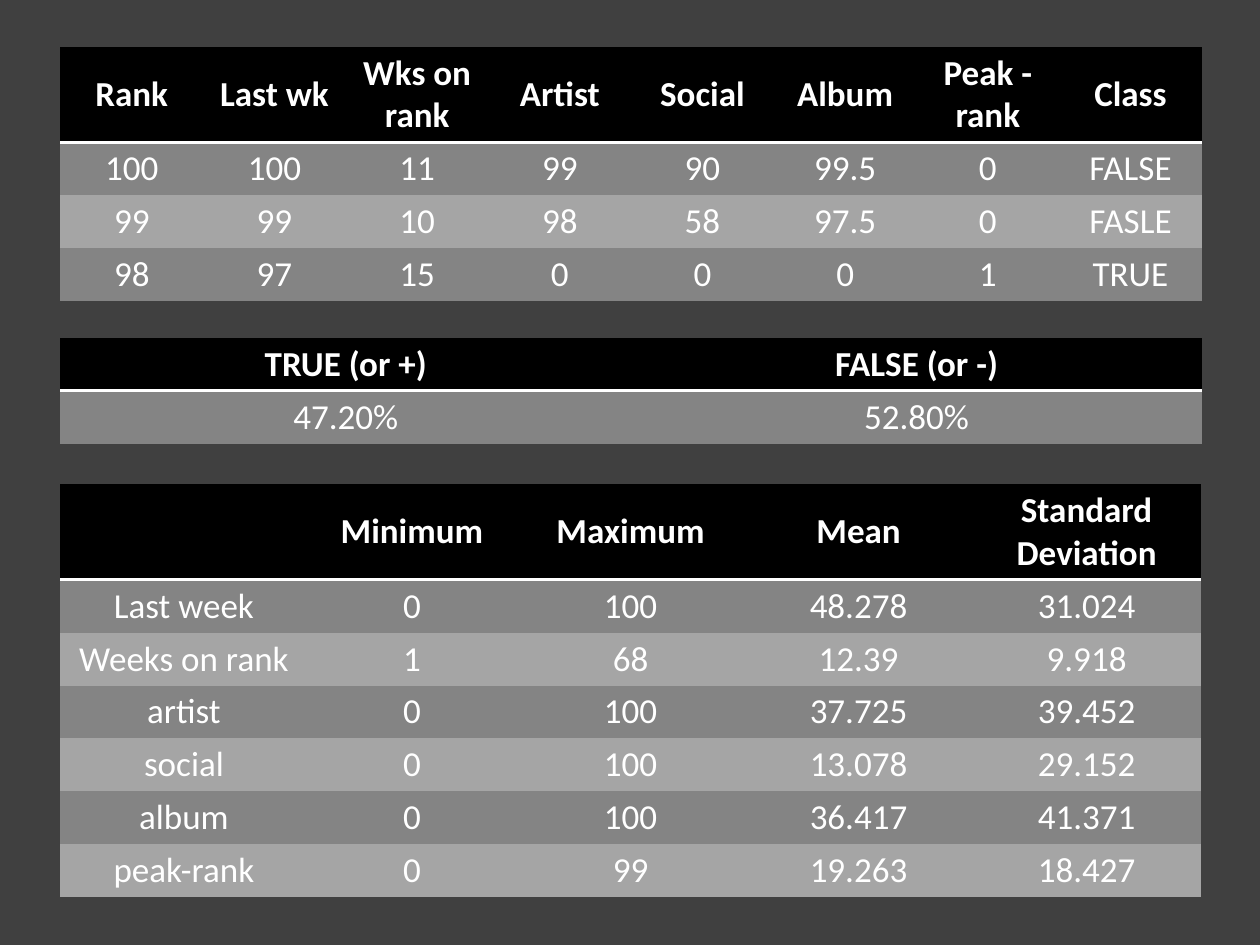
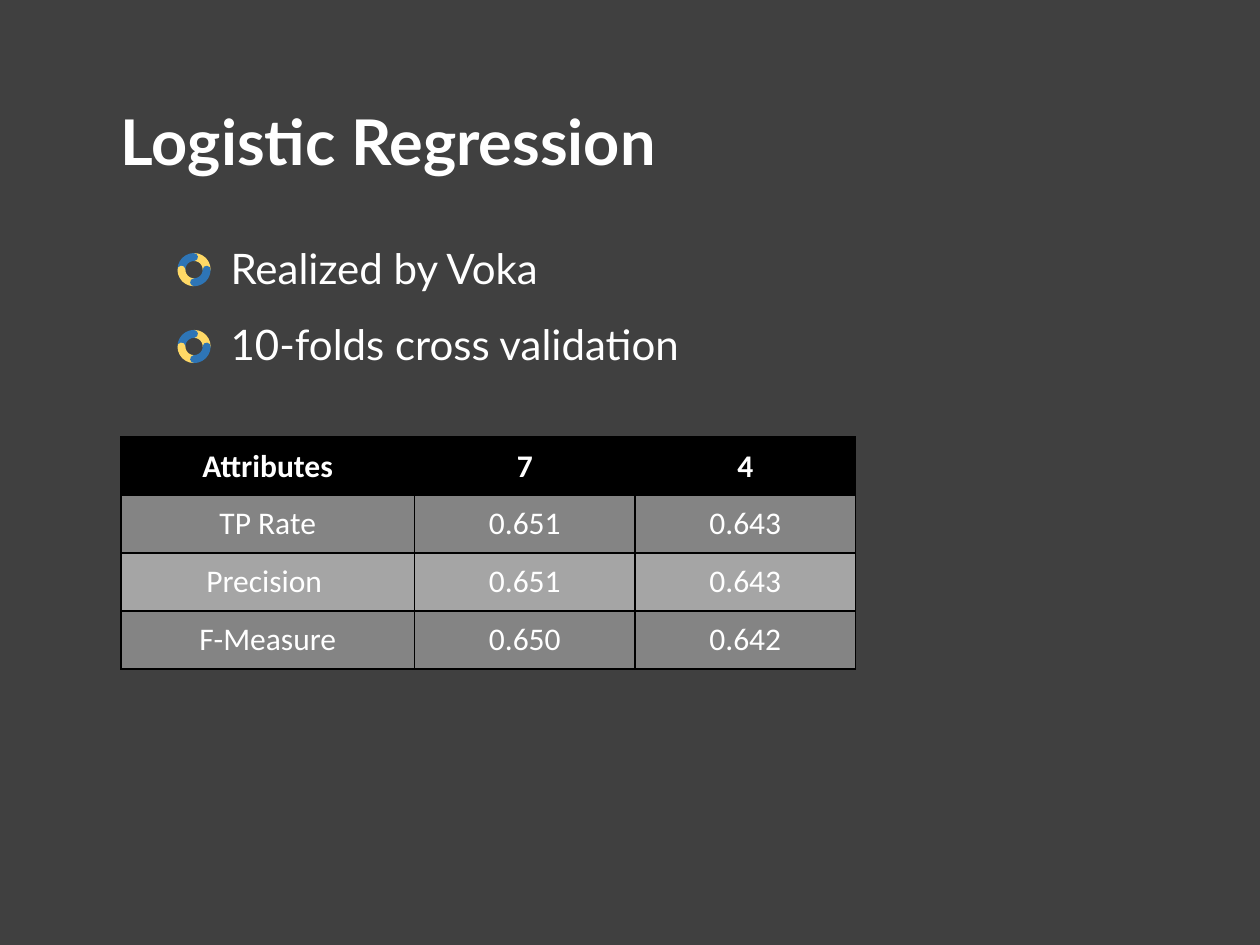
from dataclasses import dataclass

from lxml.etree import SubElement
from pptx import Presentation
from pptx.dml.color import RGBColor
from pptx.enum.shapes import MSO_SHAPE
from pptx.enum.text import MSO_ANCHOR, MSO_AUTO_SIZE, PP_ALIGN
from pptx.oxml.ns import qn
from pptx.presentation import Presentation as Deck
from pptx.shapes.base import BaseShape
from pptx.slide import Slide
from pptx.table import _Cell
from pptx.text.text import TextFrame, _Paragraph
from pptx.util import Inches, Pt


@dataclass(frozen=True)
class Theme:
    background: str = "404040"
    text: str = "FFFFFF"
    header: str = "000000"
    bands: tuple[str, str] = ("848484", "A5A5A5")
    ring_yellow: str = "FFD966"
    ring_blue: str = "2E75B6"
    heading_font: str = "Lato"
    table_font: str = "Calibri"
    title_size: float = 36
    list_size: float = 24
    large_table_size: float = 20
    small_table_size: float = 18
    ring_line: float = 4.5


THEME = Theme()
NO_TABLE_STYLE = "{2D5ABB26-0587-4C30-8999-92F81FD0307C}"
ALL_SIDES = ("L", "R", "T", "B")


@dataclass(frozen=True)
class TableSpec:
    left: float
    top: float
    columns: tuple[float, ...]
    header_height: float
    row_height: float
    rows: tuple[tuple[str, ...], ...]
    size: float = THEME.large_table_size
    insets: tuple[float, float] = (0.07, 0.04)
    grid: bool = False


FULL_WIDTH = 9.06
TABLE_LEFT = 0.48

CHART_ENTRIES = TableSpec(
    TABLE_LEFT, 0.37, (FULL_WIDTH / 8,) * 8, 0.74, 0.41,
    (
        ("Rank", "Last wk", "Wks on rank", "Artist", "Social", "Album", "Peak - rank", "Class"),
        ("100", "100", "11", "99", "90", "99.5", "0", "FALSE"),
        ("99", "99", "10", "98", "58", "97.5", "0", "FASLE"),
        ("98", "97", "15", "0", "0", "0", "1", "TRUE"),
    ),
)
CLASS_SHARES = TableSpec(
    TABLE_LEFT, 2.68, (FULL_WIDTH / 2,) * 2, 0.41, 0.41,
    (("TRUE (or +)", "FALSE (or -)"), ("47.20%", "52.80%")),
)
STATISTICS = TableSpec(
    TABLE_LEFT, 3.84, (1.96, 1.66, 1.81, 1.81, 1.81), 0.74, 0.41,
    (
        ("", "Minimum", "Maximum", "Mean", "Standard Deviation"),
        ("Last week", "0", "100", "48.278", "31.024"),
        ("Weeks on rank", "1", "68", "12.39", "9.918"),
        ("artist", "0", "100", "37.725", "39.452"),
        ("social", "0", "100", "13.078", "29.152"),
        ("album", "0", "100", "36.417", "41.371"),
        ("peak-rank", "0", "99", "19.263", "18.427"),
    ),
)
REGRESSION_SCORES = TableSpec(
    0.96, 3.47, (2.33, 1.75, 1.75), 0.46, 0.46,
    (
        ("Attributes", "7", "4"),
        ("TP Rate", "0.651", "0.643"),
        ("Precision ", "0.651", "0.643"),
        ("F-Measure", "0.650", "0.642"),
    ),
    size=THEME.small_table_size,
    insets=(0, 0),
    grid=True,
)


def color(value: str) -> RGBColor:
    return RGBColor.from_string(value)


def write_text(para: _Paragraph, text: str, *, size: float, font: str,
               bold: bool = False, align: PP_ALIGN = PP_ALIGN.LEFT) -> None:
    para.alignment = align
    span = para.add_run()
    span.text = text
    span.font.size = Pt(size)
    span.font.name = font
    span.font.bold = bold
    span.font.color.rgb = color(THEME.text)


def add_border(cell: _Cell, side: str, line_color: str, width: float) -> None:
    line = SubElement(cell._tc.get_or_add_tcPr(), qn(f"a:ln{side}"), w=str(Pt(width)))
    fill = SubElement(line, qn("a:solidFill"))
    SubElement(fill, qn("a:srgbClr"), val=line_color)


def format_cell(cell: _Cell, text: str, row: int, spec: TableSpec) -> None:
    is_header = row == 0
    if spec.grid:
        for side in ALL_SIDES:
            add_border(cell, side, THEME.header, 1)
    elif is_header:
        add_border(cell, "B", THEME.text, 2)
    cell.fill.solid()
    cell.fill.fore_color.rgb = color(THEME.header if is_header else THEME.bands[(row - 1) % 2])
    cell.vertical_anchor = MSO_ANCHOR.MIDDLE
    cell.margin_left = cell.margin_right = Inches(spec.insets[0])
    cell.margin_top = cell.margin_bottom = Inches(spec.insets[1])
    if text:
        write_text(cell.text_frame.paragraphs[0], text, size=spec.size,
                   font=THEME.table_font, bold=is_header, align=PP_ALIGN.CENTER)


def draw_table(page: Slide, spec: TableSpec) -> None:
    heights = [spec.header_height] + [spec.row_height] * (len(spec.rows) - 1)
    frame = page.shapes.add_table(
        len(spec.rows), len(spec.columns), Inches(spec.left), Inches(spec.top),
        Inches(sum(spec.columns)), Inches(sum(heights)))
    table = frame.table
    table.horz_banding = False
    table._tbl.tblPr.find(qn("a:tableStyleId")).text = NO_TABLE_STYLE
    for column, width in zip(table.columns, spec.columns):
        column.width = Inches(width)
    for index, (row, height, texts) in enumerate(zip(table.rows, heights, spec.rows)):
        row.height = Inches(height)
        for cell, text in zip(row.cells, texts):
            format_cell(cell, text, index, spec)


def place_text(box: BaseShape, left: float, top: float, width: float, height: float) -> TextFrame:
    box.left, box.top = Inches(left), Inches(top)
    box.width, box.height = Inches(width), Inches(height)
    frame = box.text_frame
    frame.word_wrap = True
    frame.auto_size = MSO_AUTO_SIZE.NONE
    frame.vertical_anchor = MSO_ANCHOR.MIDDLE
    return frame


def draw_ring(page: Slide, left: float, top: float, size: float = 0.2) -> None:
    ring = page.shapes.add_group_shape()
    for index, rotation in enumerate((90, 0, 270, 180)):
        arc = ring.shapes.add_shape(
            MSO_SHAPE.ARC, Inches(left), Inches(top), Inches(size), Inches(size))
        arc.adjustments[0] = 108
        arc.adjustments[1] = 162
        arc.rotation = rotation
        arc.shadow.inherit = False
        arc.fill.background()
        arc.line.color.rgb = color(THEME.ring_blue if index % 2 else THEME.ring_yellow)
        arc.line.width = Pt(THEME.ring_line)
        arc.line._get_or_add_ln().set("cap", "rnd")


def draw_list(page: Slide, items: tuple[str, ...]) -> None:
    left, top, line_height, pitch = 1.73, 1.87, 0.5, 0.61
    height = line_height + pitch * (len(items) - 1)
    frame = place_text(page.placeholders[1], left, top, 5.44, height)
    for index, item in enumerate(items):
        para = frame.add_paragraph() if index else frame.paragraphs[0]
        write_text(para, item, size=THEME.list_size, font=THEME.heading_font)
        para.space_before = Pt(15 if index else 0)
        properties = para._p.get_or_add_pPr()
        properties.set("marL", "0")
        properties.set("indent", "0")
        SubElement(properties, qn("a:buNone"))
        draw_ring(page, 1.44, 2.04 + pitch * index)


def build_data_page(deck: Deck) -> None:
    page = deck.slides.add_slide(deck.slide_layouts[6])
    for spec in (CHART_ENTRIES, CLASS_SHARES, STATISTICS):
        draw_table(page, spec)


def build_regression_page(deck: Deck) -> None:
    page = deck.slides.add_slide(deck.slide_layouts[1])
    title = place_text(page.shapes.title, 0.86, 0.76, 6.2, 0.71)
    write_text(title.paragraphs[0], "Logistic Regression", size=THEME.title_size,
               font=THEME.heading_font, bold=True)
    draw_list(page, ("Realized by Voka", "10-folds cross validation"))
    draw_table(page, REGRESSION_SCORES)


def main() -> None:
    deck = Presentation()
    deck.slide_width, deck.slide_height = Inches(10), Inches(7.5)
    background = deck.slide_master.background.fill
    background.solid()
    background.fore_color.rgb = color(THEME.background)
    build_data_page(deck)
    build_regression_page(deck)
    deck.save("out.pptx")


if __name__ == "__main__":
    main()
